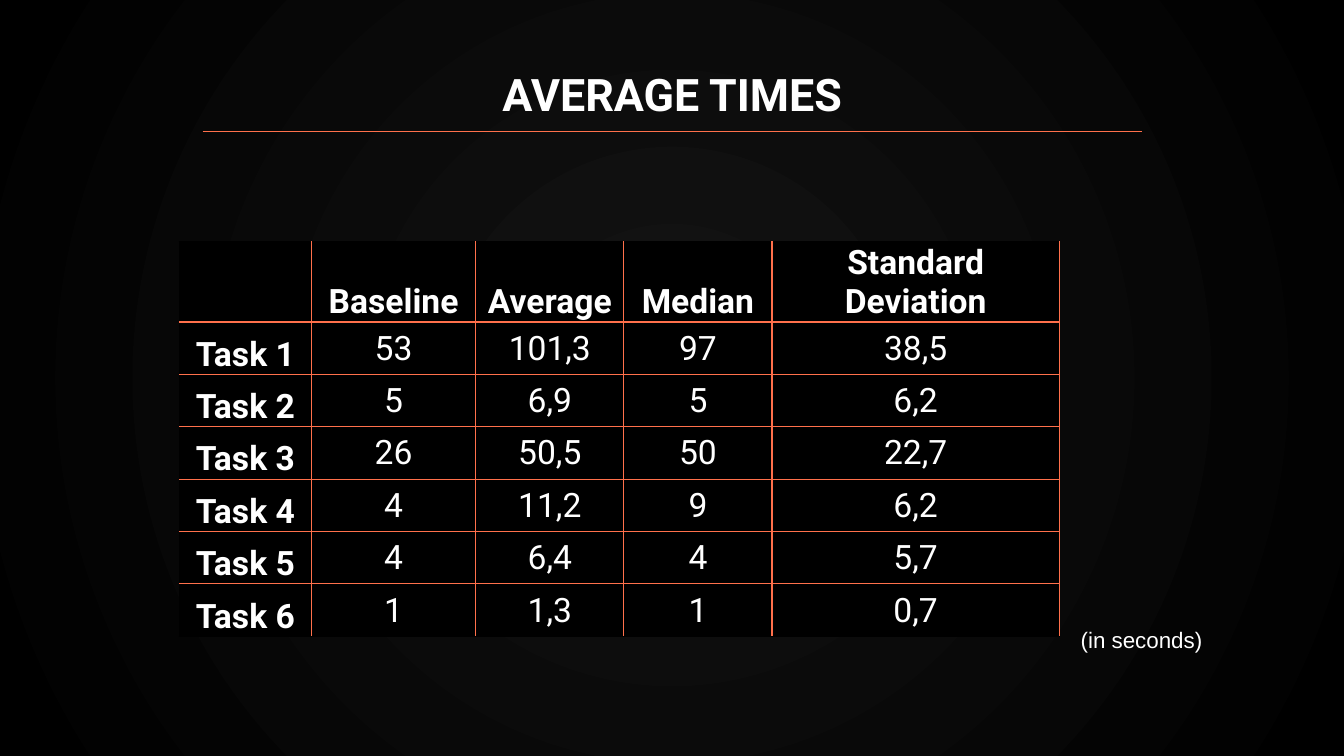
from dataclasses import dataclass

from lxml import etree
from pptx import Presentation
from pptx.dml import color as dml
from pptx.enum import shapes, text
from pptx.oxml import ns
from pptx.util import Pt

COLOURS = {"glow": "141414", "black": "000000", "accent": "FF704B", "white": "FFFFFF"}
HEADINGS = ("", "Baseline", "Average", "Median", "Standard Deviation")
COLUMN_WIDTHS = (94.32, 117.36, 105.84, 105.84, 205.2)
ROW_HEIGHT = 37.44


@dataclass(frozen=True)
class TaskTimes:
    task: str
    baseline: str
    average: str
    median: str
    deviation: str

    def entries(self) -> tuple:
        return self.task, self.baseline, self.average, self.median, self.deviation


TASKS = (
    TaskTimes("Task 1", "53", "101,3", "97", "38,5"),
    TaskTimes("Task 2", "5", "6,9", "5", "6,2"),
    TaskTimes("Task 3", "26", "50,5", "50", "22,7"),
    TaskTimes("Task 4", "4", "11,2", "9", "6,2"),
    TaskTimes("Task 5", "4", "6,4", "4", "5,7"),
    TaskTimes("Task 6", "1", "1,3", "1", "0,7"),
)


def rgb(name: str) -> dml.RGBColor:
    return dml.RGBColor.from_string(COLOURS[name])


def write(frame, content: str, size: float, font: str, bold: bool = False) -> None:
    frame.text = content
    paragraph = frame.paragraphs[0]
    paragraph.alignment = text.PP_ALIGN.CENTER
    for run in paragraph.runs:
        run.font.size = Pt(size)
        run.font.name = font
        run.font.bold = bold
        run.font.color.rgb = rgb("white")


def paint_background(slide) -> None:
    fill = slide.background.fill
    fill.gradient()
    for stop, position, name in zip(fill.gradient_stops, (0, 1), ("glow", "black")):
        stop.position = position
        stop.color.rgb = rgb(name)
    gradient = slide.background._cSld.find(".//" + ns.qn("a:gradFill"))
    gradient.remove(gradient.find(ns.qn("a:lin")))
    circle = etree.SubElement(gradient, ns.qn("a:path"), path="circle")
    etree.SubElement(circle, ns.qn("a:fillToRect"), l="50000", t="50000", r="50000", b="50000")


def add_heading(slide) -> None:
    heading = slide.shapes.title
    heading.left, heading.top = Pt(125.28), Pt(46.08)
    heading.width, heading.height = Pt(709.92), Pt(47.52)
    frame = heading.text_frame
    frame.auto_size = text.MSO_AUTO_SIZE.NONE
    frame.vertical_anchor = text.MSO_ANCHOR.BOTTOM
    frame.margin_left = frame.margin_right = Pt(7.2)
    frame.margin_top = frame.margin_bottom = Pt(7.2)
    write(frame, "AVERAGE TIMES", 32, "Roboto", True)

    rule = slide.shapes.add_connector(
        shapes.MSO_CONNECTOR.STRAIGHT, Pt(144.72), Pt(93.6), Pt(815.76), Pt(93.6))
    rule.line.color.rgb = rgb("accent")
    rule.line.width = Pt(0.75)
    etree.SubElement(rule._element.spPr, ns.qn("a:effectLst"))


def set_borders(cell, outer: dict) -> None:
    properties = cell._tc.get_or_add_tcPr()
    for index, (side, is_outer) in enumerate(outer.items()):
        border = etree.Element(ns.qn(f"a:ln{side}"), w=str(Pt(1)))
        solid = etree.SubElement(border, ns.qn("a:solidFill"))
        colour = COLOURS["black" if is_outer else "accent"]
        etree.SubElement(solid, ns.qn("a:srgbClr"), val=colour)
        properties.insert(index, border)


def add_times_table(slide) -> None:
    rows = [HEADINGS] + [task.entries() for task in TASKS]
    times = slide.shapes.add_table(
        len(rows), len(HEADINGS), Pt(128.16), Pt(172.8),
        Pt(sum(COLUMN_WIDTHS)), Pt(ROW_HEIGHT * len(rows))).table
    times.horz_banding = False
    for column, width in zip(times.columns, COLUMN_WIDTHS):
        column.width = Pt(width)
    for row_index, entries in enumerate(rows):
        times.rows[row_index].height = Pt(ROW_HEIGHT)
        for column_index, entry in enumerate(entries):
            cell = times.cell(row_index, column_index)
            is_label = row_index == 0 or column_index == 0
            cell.fill.solid()
            cell.fill.fore_color.rgb = rgb("black")
            cell.margin_left = cell.margin_right = cell.margin_top = Pt(0.75)
            cell.margin_bottom = Pt(0)
            cell.vertical_anchor = text.MSO_ANCHOR.BOTTOM if is_label else text.MSO_ANCHOR.MIDDLE
            write(cell.text_frame, entry, 24, "Roboto", is_label)
            set_borders(cell, {"L": column_index == 0, "R": False, "T": row_index == 0,
                               "B": row_index == len(rows) - 1})


def add_unit_note(slide) -> None:
    unit = slide.shapes.add_textbox(Pt(756.72), Pt(443.52), Pt(117.36), Pt(26.64))
    unit.text_frame.word_wrap = True
    unit.text_frame.auto_size = text.MSO_AUTO_SIZE.SHAPE_TO_FIT_TEXT
    write(unit.text_frame, "(in seconds)", 16, "Arial")


def main() -> None:
    deck = Presentation()
    deck.slide_width, deck.slide_height = Pt(960), Pt(540)
    slide = deck.slides.add_slide(deck.slide_layouts.get_by_name("Title Only"))
    paint_background(slide)
    add_heading(slide)
    add_times_table(slide)
    add_unit_note(slide)
    deck.save("out.pptx")


if __name__ == "__main__":
    main()
